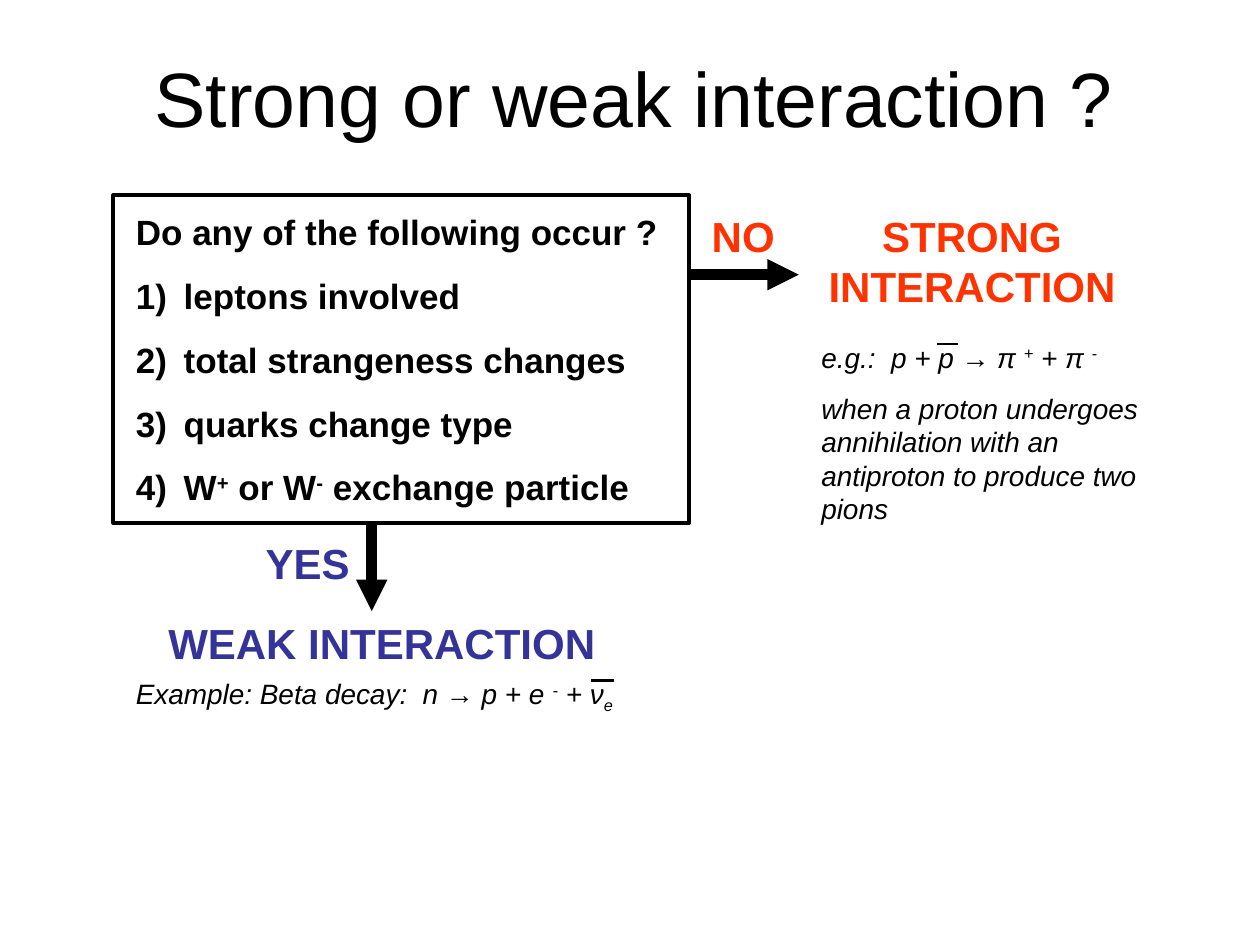
import pptx
import pptx.dml.color
import pptx.enum.shapes
import pptx.enum.text
import pptx.oxml.ns
import pptx.util
from lxml import etree
from pptx.util import Inches

BLACK, RED, BLUE = "000000", "FF3300", "333399"
SUPER, SUB = 30000, -25000
CENTER = pptx.enum.text.PP_ALIGN.CENTER


def color(hex_value):
    return pptx.dml.color.RGBColor.from_string(hex_value)


def add_child(parent, tag, **attributes):
    return etree.SubElement(parent, pptx.oxml.ns.qn(tag), attributes)


class InteractionSlide:
    font_name = "Arial"

    def __init__(self, slide):
        self.slide = slide

    def text(self, left, top, width, height, paragraphs, size, hex_value=BLACK,
             bold=False, italic=False, align=None, space=0, hanging=0,
             numbered_from=None, middle=False):
        """Each paragraph is a list of runs: a string or (string, baseline)."""
        box = self.slide.shapes.add_textbox(
            Inches(left), Inches(top), Inches(width), Inches(height))
        frame = box.text_frame
        frame.word_wrap = True
        if middle:
            frame.vertical_anchor = pptx.enum.text.MSO_ANCHOR.MIDDLE
        for index, runs in enumerate(paragraphs):
            paragraph = frame.add_paragraph() if index else frame.paragraphs[0]
            paragraph.alignment = align
            if index:
                paragraph.space_before = pptx.util.Pt(space)
            properties = paragraph._p.get_or_add_pPr()
            if hanging:
                properties.set("marL", str(Inches(hanging)))
                properties.set("indent", str(-Inches(hanging)))
            if numbered_from is not None and index >= numbered_from:
                add_child(properties, "a:buFontTx")
                add_child(properties, "a:buAutoNum", type="arabicParenR")
            font = paragraph.font
            font.name, font.size = self.font_name, pptx.util.Pt(size)
            font.bold, font.italic = bold, italic
            font.color.rgb = color(hex_value)
            for part in runs:
                wording, baseline = (part, 0) if isinstance(part, str) else part
                run = paragraph.add_run()
                run.text = wording
                if baseline:
                    run._r.get_or_add_rPr().set("baseline", str(baseline))

    def label(self, left, top, width, height, wording, hex_value, align=None):
        self.text(left, top, width, height, [[wording]], 24, hex_value,
                  bold=True, align=align)

    def frame(self, left, top, width, height):
        outline = self.slide.shapes.add_shape(
            pptx.enum.shapes.MSO_SHAPE.RECTANGLE,
            Inches(left), Inches(top), Inches(width), Inches(height))
        outline.shadow.inherit = False
        outline.fill.background()
        outline.line.color.rgb = color(BLACK)
        outline.line.width = pptx.util.Pt(2.25)

    def line(self, x1, y1, x2, y2, weight, arrow=False):
        connector = self.slide.shapes.add_connector(
            pptx.enum.shapes.MSO_CONNECTOR.STRAIGHT,
            Inches(x1), Inches(y1), Inches(x2), Inches(y2))
        connector.line.color.rgb = color(BLACK)
        connector.line.width = pptx.util.Pt(weight)
        if arrow:
            add_child(connector.line._get_or_add_ln(), "a:tailEnd", type="triangle")
        add_child(connector._element.spPr, "a:effectLst")

    def arrow(self, x1, y1, x2, y2):
        self.line(x1, y1, x2, y2, 6, arrow=True)

    def antiparticle_bar(self, x1, x2, y):
        self.line(x1, y, x2, y, 1.5)


def main():
    presentation = pptx.Presentation()
    presentation.slide_width, presentation.slide_height = Inches(10), Inches(7.5)
    page = InteractionSlide(
        presentation.slides.add_slide(presentation.slide_layouts[6]))

    # Title
    page.text(0.5, 0.3, 9.07, 0.93, [["Strong or weak interaction ?"]], 44,
              align=CENTER, middle=True)

    # Question with its four criteria
    criteria = [
        ["Do any of the following occur ?"],
        ["leptons involved"],
        ["total strangeness changes"],
        ["quarks change type"],
        ["W", ("+", SUPER), " or W", ("-", SUPER), " exchange particle"],
    ]
    page.text(0.98, 1.62, 4.41, 2.46, criteria, 20, bold=True, space=12.5,
              hanging=0.38, numbered_from=1)
    page.frame(0.9, 1.55, 4.57, 2.6)

    # NO branch: strong interaction
    page.arrow(5.47, 2.18, 6.34, 2.18)
    page.label(5.55, 1.62, 0.79, 0.5, "NO", RED)
    page.label(6.1, 1.62, 3.23, 0.9, "STRONG INTERACTION", RED, CENTER)
    annihilation = [
        ["e.g.:  p + p → π ", ("+", SUPER), " + π ", ("-", SUPER)],
        ["when a proton undergoes annihilation with an antiproton "
         "to produce two pions"],
    ]
    page.text(6.42, 2.65, 2.83, 1.57, annihilation, 16, italic=True, space=10)
    page.antiparticle_bar(7.44, 7.6, 2.73)

    # YES branch: weak interaction
    page.arrow(2.95, 4.14, 2.95, 4.85)
    page.label(2.01, 4.22, 1.1, 0.5, "YES", BLUE)
    page.label(0.98, 4.85, 4.1, 0.5, "WEAK INTERACTION", BLUE, CENTER)
    beta_decay = ["Example: Beta decay:  n → p + e ", ("-", SUPER), " + ν", ("e", SUB)]
    page.text(0.98, 5.32, 4.17, 0.41, [beta_decay], 16, italic=True)
    page.antiparticle_bar(4.69, 4.87, 5.4)

    presentation.save("out.pptx")


if __name__ == "__main__":
    main()
